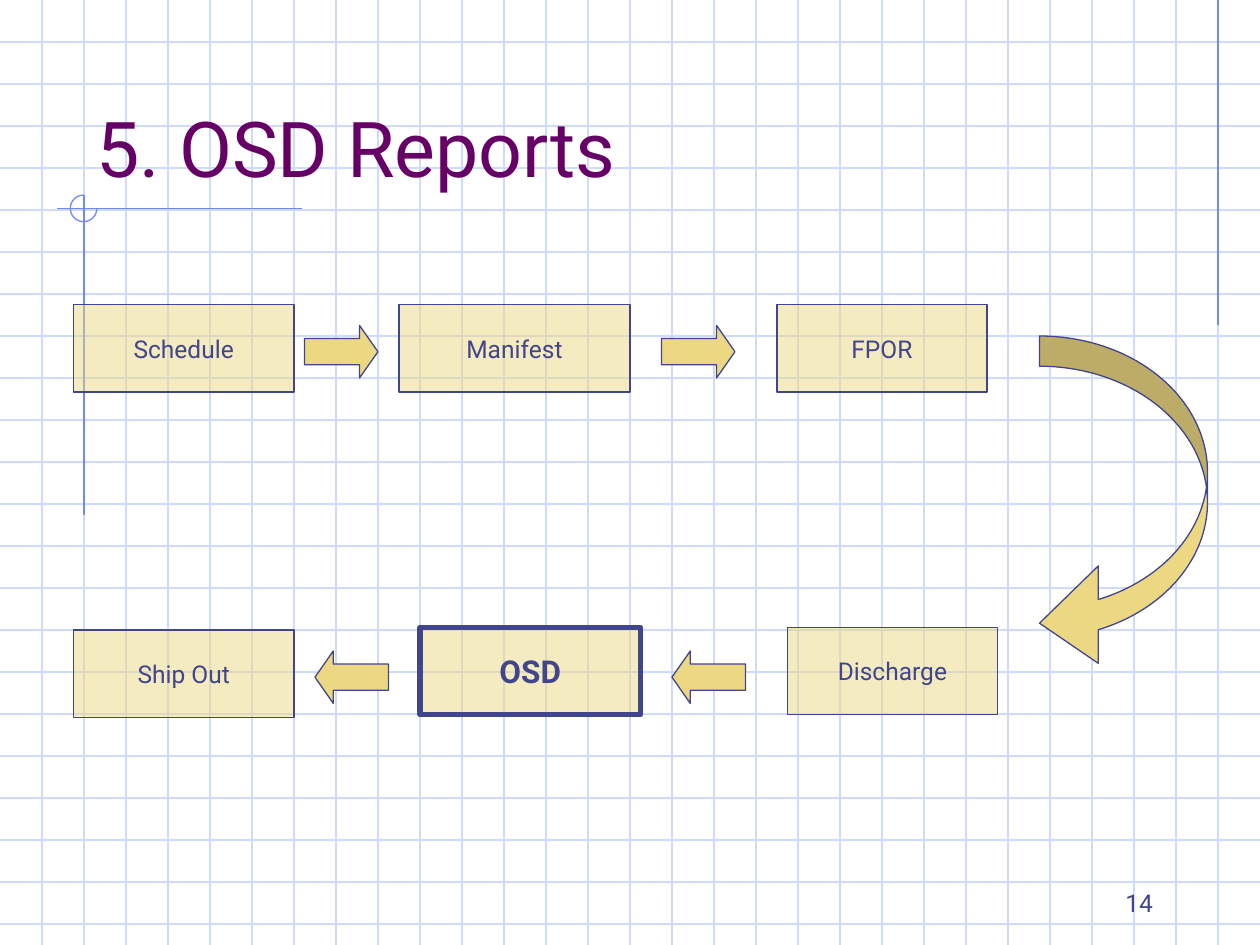
from lxml.etree import SubElement
from pptx import Presentation
from pptx.dml.color import RGBColor
from pptx.enum.shapes import MSO_CONNECTOR, MSO_SHAPE
from pptx.enum.text import MSO_ANCHOR, MSO_AUTO_SIZE, PP_ALIGN
from pptx.oxml.ns import qn
from pptx.util import Pt

FONT = "Roboto"
INK, SAND, PLUM = "40458C", "ECD882", "660066"
GRID, RULE = "CFDBFD", "6F89F7"
WIDE, HIGH, STEP = 720, 540, 24


def paint(target, color):
    """Colour a font, or the solid fill of a shape or line."""
    if hasattr(target, "solid"):
        target.solid()
        target.fore_color.rgb = RGBColor.from_string(color)
    else:
        target.color.rgb = RGBColor.from_string(color)


def write(frame, text, size, color, align, anchor, bold=False):
    frame.text = text
    frame.vertical_anchor = anchor
    frame.auto_size = MSO_AUTO_SIZE.NONE
    para = frame.paragraphs[0]
    para.alignment = align
    para.font.name = FONT
    para.font.size = Pt(size)
    para.font.bold = bold
    paint(para.font, color)


def rule(slide, x1, y1, x2, y2, color):
    line = slide.shapes.add_connector(
        MSO_CONNECTOR.STRAIGHT, Pt(x1), Pt(y1), Pt(x2), Pt(y2))
    paint(line.line.fill, color)
    line.line.width = Pt(0.75)
    SubElement(line._element.spPr, qn("a:effectLst"))


def shape(slide, kind, x, y, w, h, fill=SAND, line=INK, weight=0.75, adjust=()):
    item = slide.shapes.add_shape(kind, Pt(x), Pt(y), Pt(w), Pt(h))
    item.shadow.inherit = False
    for i, value in enumerate(adjust):
        item.adjustments[i] = value
    if fill:
        paint(item.fill, fill)
    else:
        item.fill.background()
    paint(item.line.fill, line)
    item.line.width = Pt(weight)
    return item


def step(slide, text, x, y, w, size=14, weight=0.75, bold=False):
    """Add a half-transparent process box."""
    box = shape(slide, MSO_SHAPE.FLOWCHART_PROCESS, x, y, w, 50, weight=weight)
    tint = box._element.spPr.find(qn("a:solidFill"))[0]
    SubElement(tint, qn("a:alpha"), val="50000")
    write(box.text_frame, text, size, INK, PP_ALIGN.CENTER, MSO_ANCHOR.MIDDLE, bold)
    box.text_frame.word_wrap = False


def backdrop(slide):
    for y in range(STEP, HIGH, STEP):
        rule(slide, 0, y, WIDE, y, GRID)
    for x in range(STEP, WIDE, STEP):
        rule(slide, x, 0, x, HIGH, GRID)
    rule(slide, 696, 0, 696, 186, RULE)
    rule(slide, 172.8, 119.2, 32.6, 119.2, RULE)
    rule(slide, 48, 111.6, 48, 294.5, RULE)
    # Angles run clockwise from the right, in 60000ths of a degree / 100000
    shape(slide, MSO_SHAPE.ARC, 40.2, 111.5, 15.2, 15.2,
          fill=None, line=RULE, adjust=(0, 162))


def heading(slide, text):
    title = slide.shapes.title
    title.left, title.top = Pt(48), Pt(24)
    title.width, title.height = Pt(612), Pt(90)
    write(title.text_frame, text, 44, PLUM, PP_ALIGN.LEFT, MSO_ANCHOR.BOTTOM)
    slide.shapes._spTree.append(title._element)  # bring above the grid


def flow(slide):
    step(slide, "Schedule", 42, 174, 126)
    step(slide, "Manifest", 228, 174, 132)
    step(slide, "FPOR", 444, 174, 120)
    step(slide, "Discharge", 450, 358.5, 120)
    step(slide, "OSD", 240, 358.5, 126, size=18, weight=3, bold=True)
    step(slide, "Ship Out", 42, 360, 126)
    for kind, x, y in (
        (MSO_SHAPE.RIGHT_ARROW, 174, 186),
        (MSO_SHAPE.RIGHT_ARROW, 378, 186),
        (MSO_SHAPE.LEFT_ARROW, 384, 372),
        (MSO_SHAPE.LEFT_ARROW, 180, 372),
    ):
        shape(slide, kind, x, y, 42, 30, adjust=(0.5, 0.35))
    shape(slide, MSO_SHAPE.CURVED_LEFT_ARROW, 594, 192, 96, 192,
          adjust=(0.18, 0.58, 0.35))


def number(slide, text):
    box = slide.shapes.add_textbox(Pt(516), Pt(492), Pt(150), Pt(36))
    box.text_frame.word_wrap = True
    write(box.text_frame, text, 14, INK, PP_ALIGN.RIGHT, MSO_ANCHOR.BOTTOM)


def main():
    deck = Presentation()
    deck.slide_width, deck.slide_height = Pt(WIDE), Pt(HIGH)
    slide = deck.slides.add_slide(deck.slide_layouts[5])
    backdrop(slide)
    heading(slide, "5. OSD Reports")
    flow(slide)
    number(slide, "14")
    deck.save("out.pptx")


if __name__ == "__main__":
    main()
